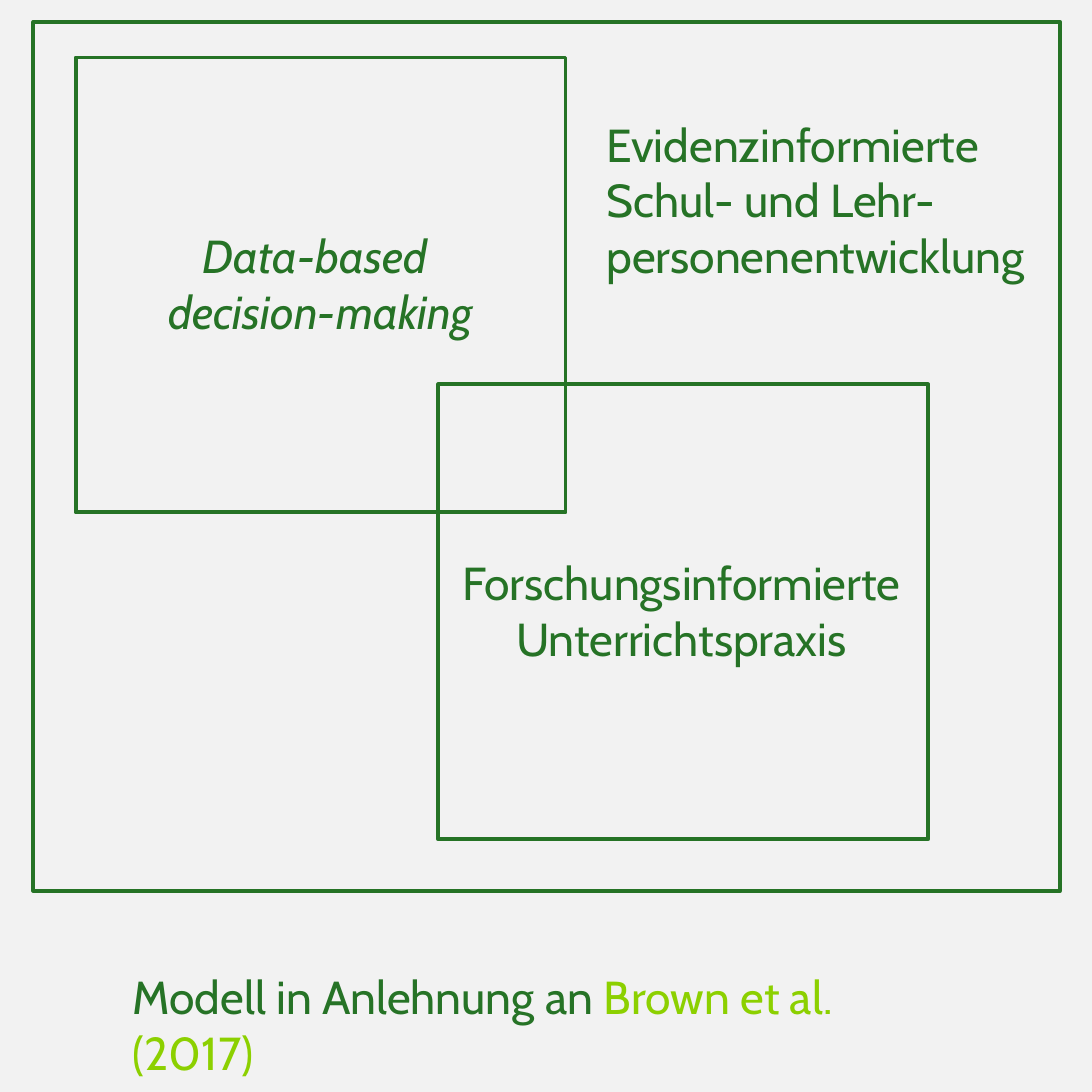
import pptx
import pptx.dml.color
import pptx.enum.shapes
import pptx.enum.text
import pptx.util

Cm = pptx.util.Cm
ALIGN = pptx.enum.text.PP_ALIGN

COLOURS = {"background": "F2F2F2", "green": "267326", "lime": "8CD000"}
SIDE = 15
SQUARE = (6.73, 6.25)

FRAMES = [
    (1.04, 0.79, *SQUARE),
    (6.02, 5.28, *SQUARE),
    (0.46, 0.3, 14.1, 11.94),
]

DATA_LABEL = [[("Data-based ", "green")], [("decision-making", "green")]]
RESEARCH_LABEL = [[("Forschungsinformierte", "green")], [("Unterrichtspraxis", "green")]]
EVIDENCE_LABEL = [
    [("Evidenzinformierte", "green")],
    [("Schul- und Lehr-", "green")],
    [("personenentwicklung", "green")],
]
CITATION = [[("Modell in Anlehnung an ", "green"), ("Brown et al. (2017)", "lime")]]

LABELS = [
    (DATA_LABEL, dict(place=(1.04, 3, 6.73, 1.8), align=ALIGN.CENTER, italic=True)),
    (RESEARCH_LABEL, dict(place=(5.97, 7.49, 6.78, 1.8), align=ALIGN.CENTER, wrap=False)),
    (EVIDENCE_LABEL, dict(place=(8.08, 1.47, 6.48, 2.57), wrap=False)),
    (CITATION, dict(place=(1.57, 13.18, 11.84, 1.02))),
]


def colour(name):
    return pptx.dml.color.RGBColor.from_string(COLOURS[name])


def add_frame(page, place):
    frame = page.shapes.add_shape(
        pptx.enum.shapes.MSO_SHAPE.RECTANGLE, *map(Cm, place))
    frame.shadow.inherit = False
    frame.fill.background()
    frame.line.color.rgb = colour("green")
    frame.line.width = pptx.util.Pt(1.5)


def add_label(page, text, place, align=ALIGN.LEFT, italic=False, wrap=True):
    box = page.shapes.add_textbox(*map(Cm, place))
    box.text_frame.word_wrap = wrap
    box.text_frame.auto_size = pptx.enum.text.MSO_AUTO_SIZE.SHAPE_TO_FIT_TEXT
    for index, line in enumerate(text):
        para = box.text_frame.add_paragraph() if index else box.text_frame.paragraphs[0]
        para.alignment = align
        for words, tint in line:
            span = para.add_run()
            span.text = words
            span.font.name = "Cabin"
            span.font.size = pptx.util.Pt(18)
            span.font.italic = italic
            span.font.color.rgb = colour(tint)


def main():
    deck = pptx.Presentation()
    deck.slide_width = deck.slide_height = Cm(SIDE)
    page = deck.slides.add_slide(deck.slide_layouts[6])
    page.background.fill.solid()
    page.background.fill.fore_color.rgb = colour("background")
    for place in FRAMES:
        add_frame(page, place)
    for text, style in LABELS:
        add_label(page, text, **style)
    deck.save("out.pptx")


if __name__ == "__main__":
    main()
